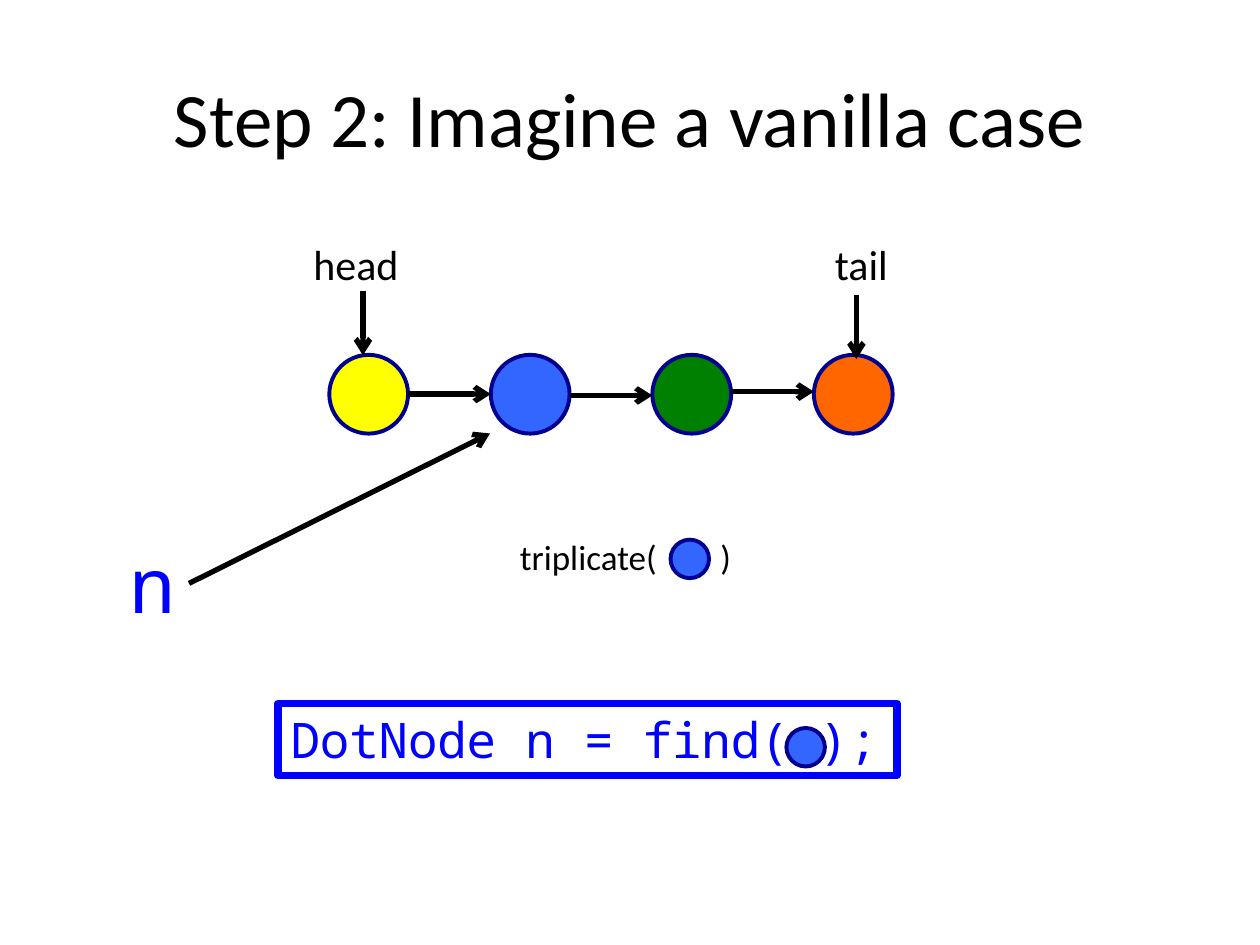
from dataclasses import dataclass

from lxml.etree import SubElement
from pptx import Presentation
from pptx.dml.color import RGBColor
from pptx.enum.shapes import MSO_CONNECTOR as Line, MSO_SHAPE as Form
from pptx.enum.text import MSO_ANCHOR as Anchor, PP_ALIGN as Align
from pptx.oxml.ns import qn
from pptx.util import Pt

BLACK, BLUE, NAVY, DOT = "000000", "0000FF", "000090", "3366FF"
SANS, MONO = "Calibri", "Noto Sans Mono"


@dataclass
class Label:
    """A line of text in a box, all lengths in points."""
    text: str
    x: float
    y: float
    w: float
    h: float
    size: float
    font: str = SANS
    color: str = BLACK
    edge: float = 0


@dataclass
class Node:
    """A filled circle."""
    x: float
    y: float
    size: float
    fill: str


@dataclass
class Arrow:
    """A straight arrow that points at its second end."""
    x1: float
    y1: float
    x2: float
    y2: float


def rgb(code: str) -> RGBColor:
    """Turn a hex string into a colour."""
    return RGBColor.from_string(code)


def write(frame, text: str, size: float, font: str, color: str) -> None:
    """Add one formatted run to the first paragraph."""
    run = frame.paragraphs[0].add_run()
    run.text = text
    run.font.size = Pt(size)
    run.font.name = font
    run.font.color.rgb = rgb(color)


def add_label(slide, label: Label) -> None:
    """Draw a text box, with a border if it has one."""
    box = slide.shapes.add_textbox(
        Pt(label.x), Pt(label.y), Pt(label.w), Pt(label.h))
    if label.edge:
        box.line.color.rgb = rgb(label.color)
        box.line.width = Pt(label.edge)
    box.text_frame.word_wrap = True
    write(box.text_frame, label.text, label.size, label.font, label.color)


def add_node(slide, node: Node) -> None:
    """Draw a circle with a navy outline."""
    dot = slide.shapes.add_shape(
        Form.OVAL, Pt(node.x), Pt(node.y), Pt(node.size), Pt(node.size))
    dot.shadow.inherit = False
    dot.fill.solid()
    dot.fill.fore_color.rgb = rgb(node.fill)
    dot.line.color.rgb = rgb(NAVY)
    dot.line.width = Pt(2.25)


def add_arrow(slide, arrow: Arrow) -> None:
    """Draw a black line with an open arrowhead."""
    link = slide.shapes.add_connector(
        Line.STRAIGHT, Pt(arrow.x1), Pt(arrow.y1), Pt(arrow.x2), Pt(arrow.y2))
    link.line.color.rgb = rgb(BLACK)
    link.line.width = Pt(3)
    SubElement(link.line._get_or_add_ln(), qn("a:tailEnd"), type="arrow")
    SubElement(link._element.spPr, qn("a:effectLst"))


def add_title(slide, text: str) -> None:
    """Place and fill the title."""
    title = slide.shapes.title
    title.left, title.top = Pt(36), Pt(21.6)
    title.width, title.height = Pt(648), Pt(90)
    frame = title.text_frame
    frame.vertical_anchor = Anchor.MIDDLE
    frame.paragraphs[0].alignment = Align.CENTER
    write(frame, text, 44, SANS, BLACK)


LEFT, TOP, SIZE, STEP = 188.2, 202.8, 45, 92.3
FILLS = ("FFFF00", DOT, "008000", "FF6600")
LINKS = (225.2, 226, 223.8)

nodes = [Node(LEFT + i * STEP, TOP, SIZE, fill)
         for i, fill in enumerate(FILLS)]
nodes += [Node(383.2, 308.4, 22, DOT), Node(449.4, 416, 22, DOT)]

arrows = [Arrow(LEFT + i * STEP + SIZE, y, LEFT + (i + 1) * STEP, y)
          for i, y in enumerate(LINKS)]
arrows += [
    Arrow(207.4, 166.3, 207.4, 203),
    Arrow(489.4, 168.5, 489.4, 205.2),
    Arrow(108, 333.4, 280, 247.7),
]

labels = [
    Label("head", 172, 132.5, 80, 36, 24),
    Label("tail", 470, 132.5, 60, 36, 24),
    Label("triplicate(", 290, 302.4, 100, 31.7, 20),
    Label(")", 404.5, 302.4, 24, 31.7, 20),
    Label("n", 67, 303.1, 44, 60.5, 44, MONO, BLUE),
    Label("DotNode n = find( );", 159, 402, 353.5, 41.2, 28, MONO, BLUE, 4.5),
]

deck = Presentation()
deck.slide_width, deck.slide_height = Pt(720), Pt(540)
slide = deck.slides.add_slide(deck.slide_layouts[5])
add_title(slide, "Step 2: Imagine a vanilla case")
for label in labels:
    add_label(slide, label)
for node in nodes:
    add_node(slide, node)
for arrow in arrows:
    add_arrow(slide, arrow)
deck.save("out.pptx")
